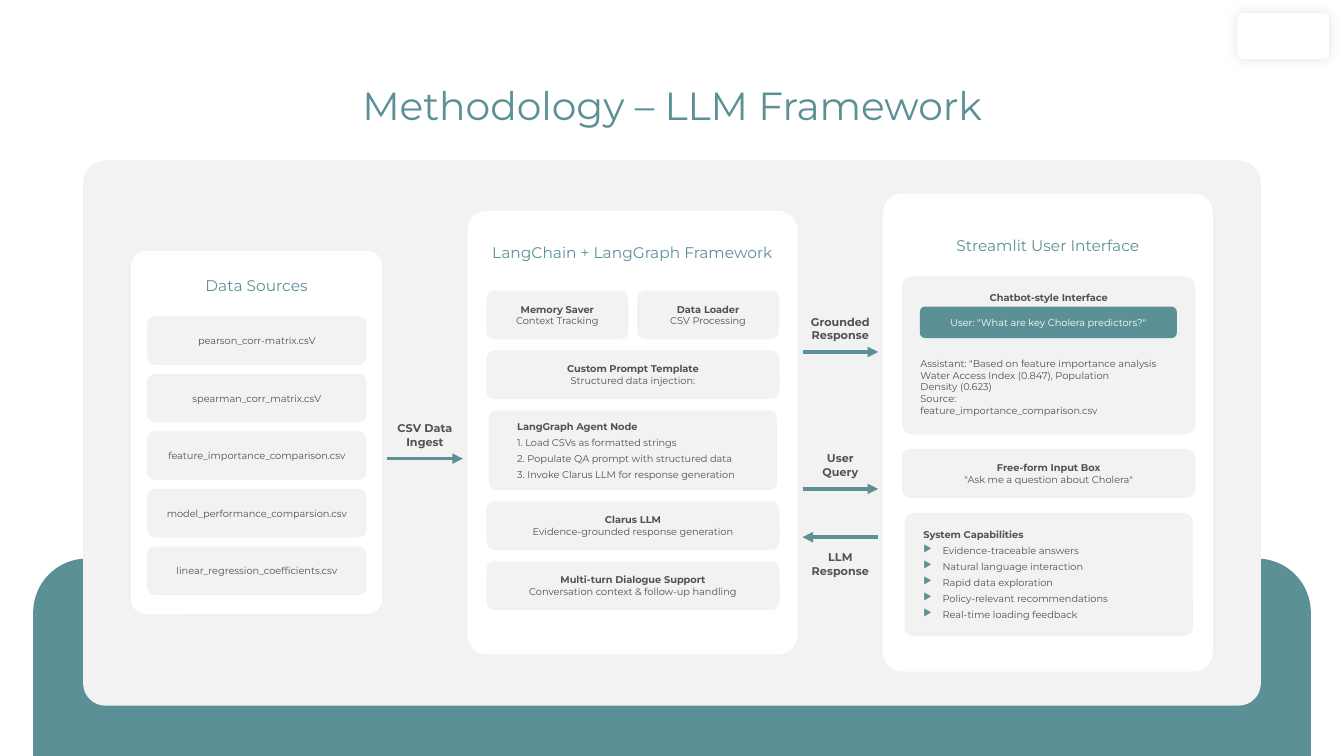
from dataclasses import dataclass, field
from typing import NamedTuple

from lxml.etree import SubElement
from pptx import Presentation
from pptx.dml.color import RGBColor
from pptx.enum.shapes import MSO_CONNECTOR as Connector, MSO_SHAPE as Preset
from pptx.enum.text import MSO_ANCHOR as Anchor, PP_ALIGN as Align
from pptx.oxml.ns import qn
from pptx.util import Emu, Inches, Pt

COLUMNS, ROWS, CELL = 160, 90, 76200


@dataclass(frozen=True)
class Theme:
    font: str = "Montserrat"
    teal: str = "5B9196"
    gray: str = "F2F2F2"
    white: str = "FFFFFF"
    ink: str = "525252"
    title: float = 28
    heading: float = 11
    label: float = 8
    body: float = 7
    arrow: float = 2.5


THEME = Theme()


class Frame(NamedTuple):
    column: float
    row: float
    width: float
    height: float


@dataclass
class Text:
    lines: list[str]
    size: float = THEME.body
    color: str = THEME.ink
    bold_lines: int = 0
    bullets: bool = False
    space: float = 0
    align: Align = Align.CENTER
    frame_format: dict = field(default_factory=dict)


@dataclass
class Box:
    frame: Frame
    fill: str = THEME.gray
    radius: float = 0.167
    text: Text | None = None


@dataclass
class Card:
    frame: Frame
    title: str
    title_row: float


@dataclass
class Arrow:
    column: float
    row: float
    label: str
    incoming: bool = False


def titled(title: str, detail: str) -> Text:
    return Text([title, detail], bold_lines=1)


def listing(lines: list[str], left: float, bullets: bool = False) -> Text:
    return Text(lines, bold_lines=1, bullets=bullets, space=3, align=Align.LEFT,
                frame_format={"margin_left": Inches(left)})


def stack(column: float, top: float, width: float, gap: float,
          rows: list[tuple[float, float, float, Text]]) -> list[Box]:
    boxes = []
    for height, inset, radius, text in rows:
        boxes.append(Box(Frame(column + inset, top, width - 2 * inset, height), radius=radius, text=text))
        top += height + gap
    return boxes


def emu(frame: Frame) -> list[Emu]:
    return [Emu(round(cells * CELL)) for cells in frame]


def add_bullet(paragraph) -> None:
    properties = paragraph._p.get_or_add_pPr()
    properties.set("marL", str(Inches(0.19)))
    properties.set("indent", str(-Inches(0.19)))
    color = SubElement(properties, qn("a:buClr"))
    SubElement(color, qn("a:srgbClr"), val=THEME.teal)
    SubElement(properties, qn("a:buChar"), char="▶")


def write(shape, text: Text) -> None:
    text_frame = shape.text_frame
    formats = {"word_wrap": True, "vertical_anchor": Anchor.MIDDLE,
               "margin_top": Inches(0.05), "margin_bottom": Inches(0.05)}
    for name, value in (formats | text.frame_format).items():
        setattr(text_frame, name, value)
    for index, line in enumerate(text.lines):
        paragraph = text_frame.add_paragraph() if index else text_frame.paragraphs[0]
        paragraph.alignment = text.align
        if index and text.space:
            paragraph.space_before = Pt(text.space)
        if index and text.bullets:
            add_bullet(paragraph)
        run = paragraph.add_run()
        run.text = line
        font_format = {"name": THEME.font, "size": Pt(text.size), "bold": index < text.bold_lines}
        for name, value in font_format.items():
            setattr(run.font, name, value)
        run.font.color.rgb = RGBColor.from_string(text.color)


def draw_text(slide, frame: Frame, text: Text) -> None:
    write(slide.shapes.add_textbox(*emu(frame)), text)


def draw_box(slide, box: Box, preset: Preset = Preset.ROUNDED_RECTANGLE):
    shape = slide.shapes.add_shape(preset, *emu(box.frame))
    shape.adjustments[0] = box.radius
    shape.shadow.inherit = False
    shape.fill.solid()
    shape.fill.fore_color.rgb = RGBColor.from_string(box.fill)
    shape.line.fill.background()
    if box.text:
        write(shape, box.text)
    return shape


def add_glow(shape) -> None:
    effects = shape._element.spPr.find(qn("a:effectLst"))
    shadow = SubElement(effects, qn("a:outerShdw"), blurRad=str(Pt(9)), dist="0", dir="0",
                        algn="ctr", rotWithShape="0")
    color = SubElement(shadow, qn("a:srgbClr"), val="000000")
    SubElement(color, qn("a:alpha"), val="11000")


def draw_card(slide, card: Card) -> None:
    draw_box(slide, Box(card.frame, THEME.white, 0.059))
    heading = Frame(card.frame.column + 1.1, card.title_row, card.frame.width - 2.2, 3.5)
    draw_text(slide, heading, Text([card.title], THEME.heading, THEME.teal))


def draw_arrow(slide, arrow: Arrow) -> None:
    left, top, width, _ = emu(Frame(arrow.column, arrow.row, 9, 0))
    connector = slide.shapes.add_connector(Connector.STRAIGHT, left, top, left + width, top)
    connector.line.color.rgb = RGBColor.from_string(THEME.teal)
    connector.line.width = Pt(THEME.arrow)
    end = "a:headEnd" if arrow.incoming else "a:tailEnd"
    SubElement(connector.line._get_or_add_ln(), qn(end), type="triangle")
    SubElement(connector._element.spPr, qn("a:effectLst"))
    label_row = arrow.row + (0.96 if arrow.incoming else -5.04)
    draw_text(slide, Frame(arrow.column - 0.3, label_row, 9.6, 4.44),
              Text([arrow.label], THEME.label, bold_lines=1))


CARDS = [
    Card(Frame(15.6, 29.9, 29.9, 43.2), "Data Sources", 32.2),
    Card(Frame(55.65, 25.1, 39.3, 52.8), "LangChain + LangGraph Framework", 28.3),
    Card(Frame(105.1, 23.05, 39.3, 56.9), "Streamlit User Interface", 27.4),
]
FILES = ["pearson_corr-matrix.csV", "spearman_corr_matrix.csV", "feature_importance_comparison.csv",
         "model_performance_comparsion.csv", "linear_regression_coefficients.csv"]
AGENT = ["LangGraph Agent Node", "1. Load CSVs as formatted strings",
         "2. Populate QA prompt with structured data", "3. Invoke Clarus LLM for response generation"]
CAPABILITIES = ["System Capabilities", "Evidence-traceable answers", "Natural language interaction",
                "Rapid data exploration", "Policy-relevant recommendations", "Real-time loading feedback"]
ANSWER = ['Assistant: "Based on feature importance analysis', "Water Access Index (0.847), Population",
          "Density (0.623)", "Source:", "feature_importance_comparison.csv"]
CHAT = Text(["Chatbot-style Interface"], bold_lines=1,
            frame_format={"vertical_anchor": Anchor.TOP, "margin_top": Inches(0.12)})
TOOLS = [titled("Memory Saver", "Context Tracking"), titled("Data Loader", "CSV Processing")]

BOXES = [
    *stack(17.5, 37.65, 26.15, 1.05, [(5.8, 0, 0.167, Text([name])) for name in FILES]),
    *[Box(Frame(57.9 + 17.95 * index, 34.6, 16.9, 5.8), text=tool) for index, tool in enumerate(TOOLS)],
    *stack(57.9, 41.73, 34.9, 1.33, [
        (5.8, 0, 0.167, titled("Custom Prompt Template", "Structured data injection:")),
        (9.5, 0.3, 0.094, listing(AGENT, 0.26)),
        (5.8, 0, 0.167, titled("Clarus LLM", "Evidence-grounded response generation")),
        (5.8, 0, 0.167, titled("Multi-turn Dialogue Support", "Conversation context & follow-up handling")),
    ]),
    *stack(107.4, 32.9, 34.9, 1.78, [
        (18.8, 0, 0.061, CHAT),
        (5.8, 0, 0.167, titled("Free-form Input Box", '"Ask me a question about Cholera"')),
        (14.7, 0.3, 0.074, listing(CAPABILITIES, 0.16, bullets=True)),
    ]),
    Box(Frame(109.5, 36.5, 30.6, 3.75), THEME.teal,
        text=Text(['User: "What are key Cholera predictors?"'], color=THEME.white)),
]
ARROWS = [
    Arrow(46.1, 54.6, "CSV Data Ingest"),
    Arrow(95.55, 41.9, "Grounded Response"),
    Arrow(95.55, 58.2, "User Query"),
    Arrow(95.55, 63.95, "LLM Response", incoming=True),
]


def main() -> None:
    presentation = Presentation()
    presentation.slide_width, presentation.slide_height = Emu(COLUMNS * CELL), Emu(ROWS * CELL)
    slide = presentation.slides.add_slide(presentation.slide_layouts[6])
    draw_box(slide, Box(Frame(3.95, 66.5, 152.1, 23.5), THEME.teal, 0.273), Preset.ROUND_2_SAME_RECTANGLE)
    draw_box(slide, Box(Frame(9.9, 19.1, 140.2, 64.9), radius=0.041))
    add_glow(draw_box(slide, Box(Frame(147.3, 1.55, 10.9, 5.5), THEME.white, 0.096)))
    draw_text(slide, Frame(32.1, 9.1, 95.8, 6.85),
              Text(["Methodology – LLM Framework"], THEME.title, THEME.teal))
    for card in CARDS:
        draw_card(slide, card)
    for box in BOXES:
        draw_box(slide, box)
    draw_text(slide, Frame(108.4, 41.9, 32.8, 8.3), Text(ANSWER, align=Align.LEFT))
    for arrow in ARROWS:
        draw_arrow(slide, arrow)
    presentation.save("out.pptx")


if __name__ == "__main__":
    main()
